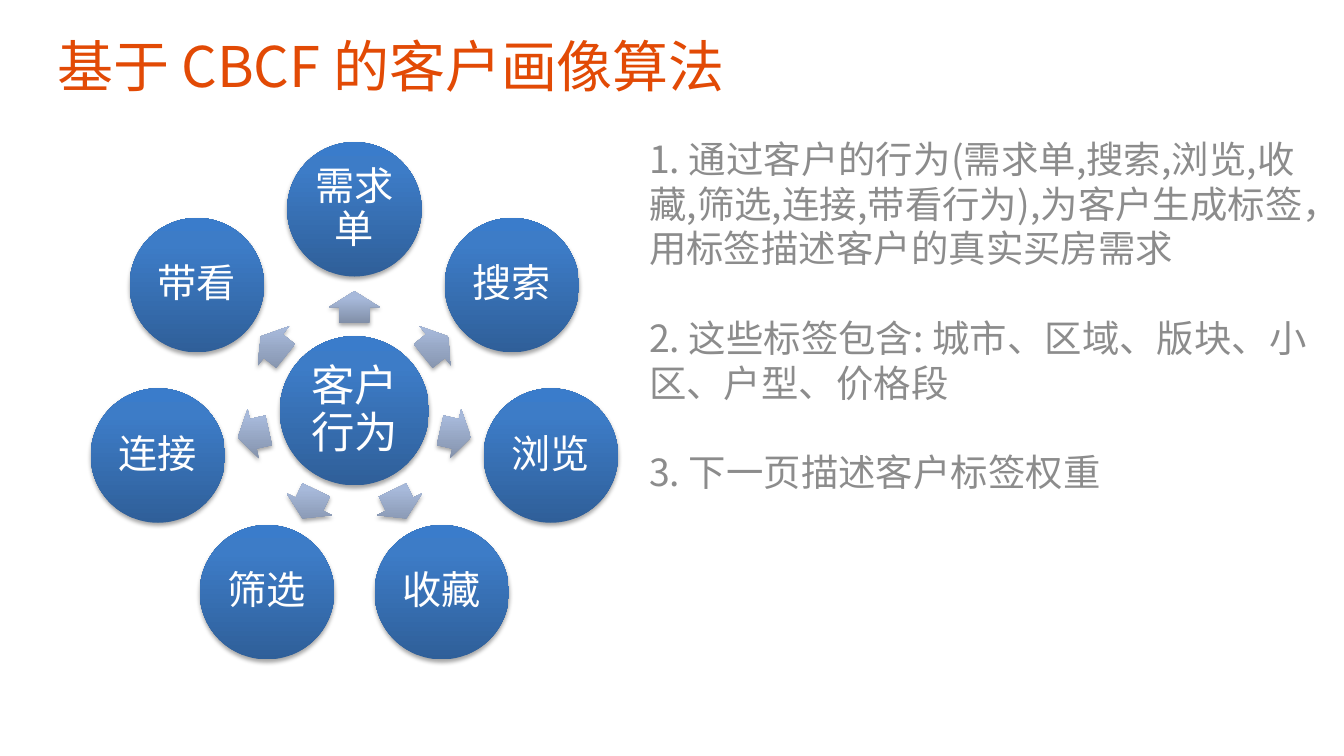
from math import cos, pi, sin

from pptx import Presentation
from pptx.dml.color import RGBColor
from pptx.enum.shapes import MSO_SHAPE as Preset
from pptx.enum.text import MSO_ANCHOR as Anchor, PP_ALIGN as Align
from pptx.oxml import parse_xml
from pptx.oxml.ns import nsdecls, qn
from pptx.util import Inches, Pt

WIDTH, HEIGHT = 13.33, 7.5
CJK_FONT = "Noto Sans CJK SC"
COLORS = {"title": "E24A05", "body": "8C8C8C", "label": "FFFFFF", "shadow": "000000"}
GRADIENTS = {
    "circle": ((0, "2F5F99"), (80, "3D7CC7"), (100, "3A7CCB")),
    "arrow": ((0, "818FA8"), (80, "A7B9DA"), (100, "A7BADC")),
}
BEHAVIOURS = ["需求单", "搜索", "浏览", "收藏", "筛选", "连接", "带看"]
POINTS = [
    "1. 通过客户的行为(需求单,搜索,浏览,收藏,筛选,连接,带看行为),为客户生成标签，用标签描述客户的真实买房需求",
    "2. 这些标签包含: 城市、区域、版块、小区、户型、价格段",
    "3. 下一页描述客户标签权重",
]


def write(paragraph, text, size, color, font, east_asian=None):
    """Add one formatted run to a paragraph."""
    run = paragraph.add_run()
    run.text = text
    run.font.size = Pt(size)
    run.font.name = font
    run.font.color.rgb = RGBColor.from_string(COLORS[color])
    if east_asian:
        latin = run.font._element.find(qn("a:latin"))
        latin.addnext(parse_xml(f'<a:ea {nsdecls("a")} typeface="{east_asian}"/>'))


def add_glossy(slide, preset, center, width, height, gradient):
    """Place a borderless gradient shape with a soft shadow around a center."""
    x, y = center
    shape = slide.shapes.add_shape(
        preset, Inches(x - width / 2), Inches(y - height / 2), Inches(width), Inches(height))
    shape.line.fill.background()
    shape.fill.gradient()
    properties = shape._element.spPr
    stops = "".join(
        f'<a:gs pos="{share * 1000}"><a:srgbClr val="{color}"/></a:gs>'
        for share, color in GRADIENTS[gradient])
    properties.replace(properties.find(qn("a:gradFill")), parse_xml(
        f'<a:gradFill {nsdecls("a")} rotWithShape="0"><a:gsLst>{stops}</a:gsLst>'
        '<a:lin ang="16200000" scaled="0"/></a:gradFill>'))
    shape.shadow.inherit = False
    properties.find(qn("a:effectLst")).append(parse_xml(
        f'<a:outerShdw {nsdecls("a")} blurRad="{Pt(3.1)}" dist="{Pt(1.8)}" dir="5400000"'
        f' rotWithShape="0"><a:srgbClr val="{COLORS["shadow"]}">'
        '<a:alpha val="35000"/></a:srgbClr></a:outerShdw>'))
    return shape


def add_circle(slide, center, diameter, label, size):
    """Draw a labelled circle."""
    circle = add_glossy(slide, Preset.OVAL, center, diameter, diameter, "circle")
    frame = circle.text_frame
    frame.word_wrap = True
    frame.vertical_anchor = Anchor.MIDDLE
    frame.margin_left = frame.margin_right = Inches(0.04)
    frame.margin_top = frame.margin_bottom = Inches(0.04)
    paragraph = frame.paragraphs[0]
    paragraph.alignment = Align.CENTER
    paragraph.line_spacing = 0.9
    write(paragraph, label, size, "label", "Calibri")


def add_behaviour_wheel(slide, left, top, width, height):
    """Draw the customer hub with an arrow to each behaviour around it."""
    hub_size, outer_size = width * 0.283, width * 0.255
    ring = (width - outer_size) / 2 / sin(4 * pi / 7)
    hub = (left + width / 2, top + outer_size / 2 + ring)
    add_circle(slide, hub, hub_size, "客户行为", 31)
    for index, behaviour in enumerate(BEHAVIOURS):
        turn = index / len(BEHAVIOURS)
        across, up = sin(2 * pi * turn), cos(2 * pi * turn)

        def at(radius):
            return hub[0] + radius * across, hub[1] - radius * up

        arrow = add_glossy(
            slide, Preset.RIGHT_ARROW, at(ring * 0.515), width * 0.06, width * 0.096, "arrow")
        arrow.adjustments[0], arrow.adjustments[1] = 0.6, 0.5
        arrow.rotation = (270 + 360 * turn) % 360
        add_circle(slide, at(ring), outer_size, behaviour, 28)


def add_title(slide, left, top, width, height):
    """Move and format the slide title."""
    title = slide.shapes.title
    title.left, title.top = Inches(left), Inches(top)
    title.width, title.height = Inches(width), Inches(height)
    title.text_frame.vertical_anchor = Anchor.MIDDLE
    paragraph = title.text_frame.paragraphs[0]
    paragraph.alignment = Align.LEFT
    paragraph.line_spacing = Pt(48)
    write(paragraph, "基于 CBCF 的客户画像算法", 40, "title", CJK_FONT, CJK_FONT)


def add_points(slide, left, top, width, height):
    """Write the numbered explanation."""
    box = slide.shapes.add_textbox(Inches(left), Inches(top), Inches(width), Inches(height))
    frame = box.text_frame
    frame.word_wrap = True
    for index, point in enumerate(POINTS):
        paragraph = frame.paragraphs[0] if index == 0 else frame.add_paragraph()
        paragraph.line_spacing = Pt(32)
        if index:
            paragraph.space_before = Pt(32)
        write(paragraph, point, 26.7, "body", CJK_FONT, CJK_FONT)


def main():
    """Build and save the slide."""
    deck = Presentation()
    deck.slide_width, deck.slide_height = Inches(WIDTH), Inches(HEIGHT)
    slide = deck.slides.add_slide(deck.slide_layouts[5])
    add_title(slide, WIDTH * 0.035, HEIGHT * 0.024, WIDTH * 0.85, HEIGHT * 0.125)
    add_behaviour_wheel(slide, 0.9, HEIGHT * 0.188, 5.23, HEIGHT * 0.684)
    add_points(slide, 6.34, 1.3, 6.73, HEIGHT * 0.74)
    deck.save("out.pptx")


if __name__ == "__main__":
    main()
